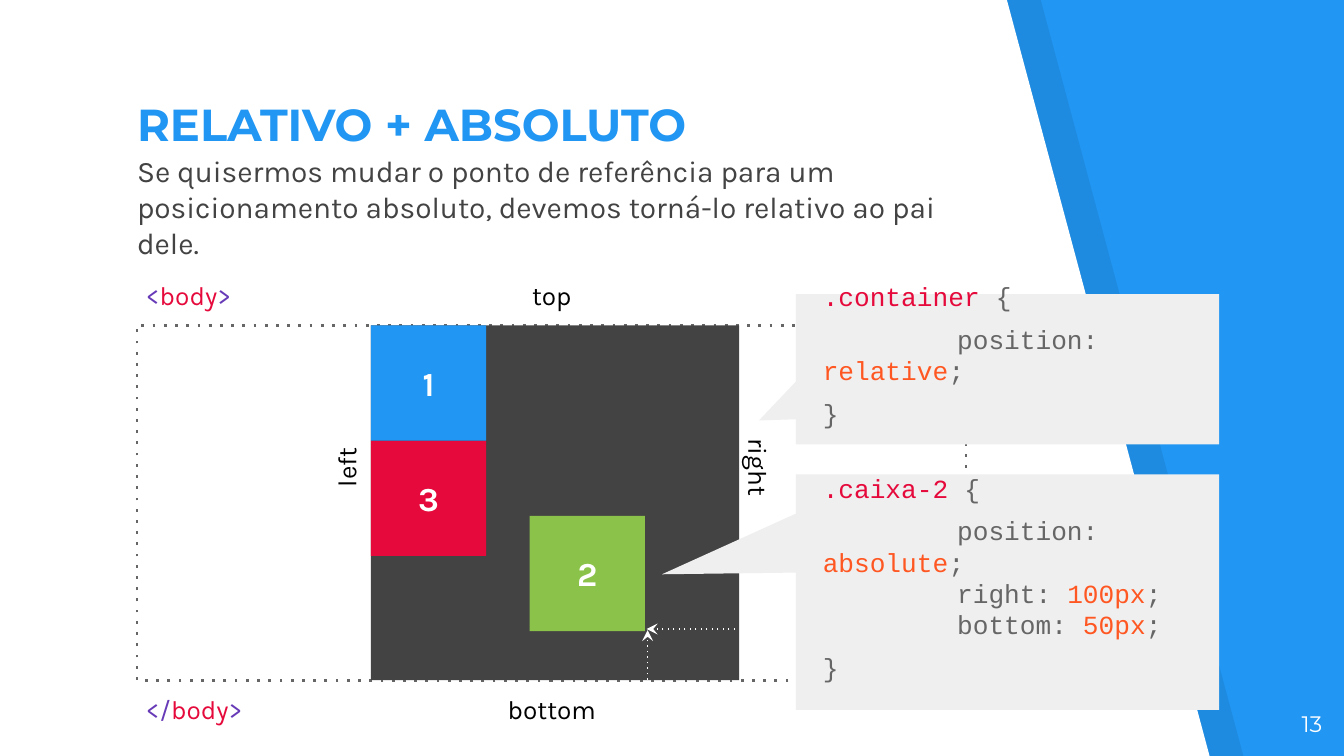
from dataclasses import dataclass

from lxml import etree
from pptx import Presentation
from pptx import util as u
from pptx.dml.color import RGBColor
from pptx.enum import shapes, text
from pptx.oxml.ns import qn

Cm = u.Cm
MID, LEFT, CENTER = text.MSO_ANCHOR.MIDDLE, text.PP_ALIGN.LEFT, text.PP_ALIGN.CENTER
WIDTH, HEIGHT = 25.4, 14.29
COLORS = {
    "blue": "2196F3", "red": "E50A3B", "green": "8BC34A", "purple": "673AB7",
    "orange": "FF5722", "dark": "434343", "gray": "666666", "light": "EFEFEF",
    "white": "FFFFFF", "black": "000000",
}
FORMATS = {
    "title": {"name": "Montserrat", "size": u.Pt(24), "bold": True},
    "body": {"name": "Karla", "size": u.Pt(16), "bold": False},
    "box": {"name": "Karla", "size": u.Pt(18), "bold": True},
    "label": {"name": "Karla", "size": u.Pt(14)},
    "code": {"name": "Courier New", "size": u.Pt(14)},
    "page": {"name": "Montserrat", "size": u.Pt(12)},
}
Run = tuple[str, str]  # text, colour


@dataclass
class Frame:
    x: float
    y: float
    w: float
    h: float

    def lengths(self):
        return Cm(self.x), Cm(self.y), Cm(self.w), Cm(self.h)


@dataclass
class Box:
    number: str
    x: float
    y: float
    color: str


@dataclass
class Label:
    frame: Frame
    runs: list[Run]
    align: text.PP_ALIGN = CENTER
    rotation: int = 0


@dataclass
class Callout:
    frame: Frame
    tip: tuple[float, float]
    lines: list[list[Run]]


def rgb(name: str) -> RGBColor:
    return RGBColor.from_string(COLORS[name])


def fill_shape(sp, color: str) -> None:
    sp.shadow.inherit = False
    sp.fill.solid()
    sp.fill.fore_color.rgb = rgb(color)
    sp.line.fill.background()


def dot_line(sp, color: str, width: float):
    """Dotted outline; returns the a:ln element."""
    sp.line.color.rgb = rgb(color)
    sp.line.width = u.Pt(width)
    ln = sp.element.find(".//" + qn("a:ln"))
    etree.SubElement(ln, qn("a:prstDash"), val="dot")
    return ln


def setup_frame(sp, anchor=text.MSO_ANCHOR.TOP, inset: float = 0.25, bottom: float = 0.25):
    tf = sp.text_frame
    values = {
        "word_wrap": True, "auto_size": text.MSO_AUTO_SIZE.NONE, "vertical_anchor": anchor,
        "margin_left": Cm(inset), "margin_right": Cm(inset),
        "margin_top": Cm(inset), "margin_bottom": Cm(bottom),
    }
    for key, value in values.items():
        setattr(tf, key, value)
    return tf


def write(p, runs: list[Run], fmt: str, align=LEFT, before: float = 0) -> None:
    p.alignment = align
    p.space_before = u.Pt(before)
    for words, color in runs:
        for i, part in enumerate(words.split("\n")):
            if i:
                p.add_line_break()
            r = p.add_run()
            r.text = part
            for key, value in FORMATS[fmt].items():
                setattr(r.font, key, value)
            r.font.color.rgb = rgb(color)


def place(sp, frame: Frame) -> None:
    for key, value in zip(("left", "top", "width", "height"), frame.lengths()):
        setattr(sp, key, value)


def add_panel(s, x: float, color: str):
    builder = s.shapes.build_freeform(Cm(x), 0)
    builder.add_line_segments(
        [(Cm(x), Cm(HEIGHT)), (Cm(x + 22.86), Cm(HEIGHT)), (Cm(x + 19.03), 0)])
    sp = builder.convert_to_shape()
    fill_shape(sp, color)
    return sp


def add_rect(s, frame: Frame, color: str):
    sp = s.shapes.add_shape(shapes.MSO_SHAPE.RECTANGLE, *frame.lengths())
    fill_shape(sp, color)
    return sp


def add_box(s, box: Box) -> None:
    sp = add_rect(s, Frame(box.x, box.y, SIDE, SIDE), box.color)
    write(setup_frame(sp, MID).paragraphs[0], [(box.number, "white")], "box", CENTER)


def add_arrow(s, x1: float, y1: float, x2: float, y2: float) -> None:
    line = s.shapes.add_connector(shapes.MSO_CONNECTOR.STRAIGHT, Cm(x1), Cm(y1), Cm(x2), Cm(y2))
    ln = dot_line(line, "white", 0.75)
    etree.SubElement(ln, qn("a:tailEnd"), type="stealth")
    etree.SubElement(line.element.spPr, qn("a:effectLst"))


def add_label(s, label: Label) -> None:
    sp = s.shapes.add_textbox(*label.frame.lengths())
    sp.rotation = label.rotation
    write(setup_frame(sp, MID).paragraphs[0], label.runs, "label", label.align)


def add_callout(s, callout: Callout) -> None:
    sp = s.shapes.add_shape(
        shapes.MSO_SHAPE.ROUNDED_RECTANGULAR_CALLOUT, *callout.frame.lengths())
    fill_shape(sp, "light")
    for i, value in enumerate((*callout.tip, 0)):
        sp.adjustments[i] = value
    tf = setup_frame(sp, MID, 0.51, 1.07)
    for i, runs in enumerate(callout.lines):
        p = tf.add_paragraph() if i else tf.paragraphs[0]
        tabs = etree.SubElement(p._p.get_or_add_pPr(), qn("a:tabLst"))
        etree.SubElement(tabs, qn("a:tab"), pos=str(Cm(2.54)), algn="l")
        write(p, runs, "code", before=6 if i else 0)


# Diagram geometry
SIDE = 2.18
PAGE = Frame(2.59, 6.15, 15.67, 6.71)
CONTAINER = Frame(7.01, PAGE.y, 6.96, PAGE.h)
BOXES = [
    Box("3", CONTAINER.x, CONTAINER.y + SIDE, "red"),
    Box("1", CONTAINER.x, CONTAINER.y, "blue"),
    Box("2", 10.01, 9.75, "green"),
]
ARROWS = [(13.89, 11.89, 12.22, 11.89), (12.24, 12.85, 12.24, 11.91)]
TOP_Y, BOTTOM_Y = 5.11, 12.93
LABELS = [Label(Frame(9.07, y, 2.72, 0.94), [(name, "black")])
          for name, y in (("top", TOP_Y), ("bottom", BOTTOM_Y))]
LABELS += [Label(Frame(x, 8.36, 2.62, 0.94), [(name, "black")], rotation=angle)
           for name, x, angle in (("left", 5.23, 270), ("right", 13.03, 90))]
LABELS += [Label(Frame(2.51, y, 2.72, 0.94),
                 [(start, "purple"), ("body", "red"), (">", "purple")], LEFT)
           for start, y in (("<", TOP_Y), ("</", BOTTOM_Y))]
CALLOUTS = [
    Callout(Frame(15.04, 5.56, 8, 2.84), (-0.587, 0.341), [
        [(".container ", "red"), ("{", "gray")],
        [("\tposition: ", "gray"), ("relative", "orange"), (";", "gray")],
        [("}", "gray")]]),
    Callout(Frame(15.04, 8.97, 8, 4.45), (-0.816, -0.076), [
        [(".caixa-2 ", "red"), ("{", "gray")],
        [("\tposition: ", "gray"), ("absolute", "orange"), (";\n\tright: ", "gray"),
         ("100px", "orange"), (";\n\tbottom: ", "gray"), ("50px", "orange"), (";", "gray")],
        [("}", "gray")]]),
]


def main() -> None:
    prs = Presentation()
    prs.slide_width, prs.slide_height = Cm(WIDTH), Cm(HEIGHT)
    s = prs.slides.add_slide(prs.slide_layouts[1])
    title, body = s.shapes.title, s.placeholders[1]

    # Background with slanted panels behind the placeholders
    s.background.fill.solid()
    s.background.fill.fore_color.rgb = rgb("blue")
    shade, page = add_panel(s, 0.64, "black"), add_panel(s, 0, "white")
    color = shade.element.find(".//" + qn("a:srgbClr"))
    etree.SubElement(color, qn("a:alpha"), val="7000")
    for panel in (shade, page):
        title.element.addprevious(panel.element)

    # Title and body
    place(title, Frame(2.34, 1.96, 14.4, 1.14))
    tf = setup_frame(title, text.MSO_ANCHOR.BOTTOM)
    write(tf.paragraphs[0], [("RELATIVO + ABSOLUTO", "blue")], "title")
    place(body, Frame(2.34, 2.64, 16.74, 2.84))
    p = setup_frame(body).paragraphs[0]
    pPr = p._p.get_or_add_pPr()
    pPr.set("marL", "0")
    pPr.set("indent", "0")
    etree.SubElement(pPr, qn("a:buNone"))
    write(p, [("Se quisermos mudar o ponto de referência para um posicionamento absoluto, "
               "devemos torná-lo relativo ao pai dele.", "dark")], "body")

    # Page outline, container and boxes
    outline = add_rect(s, PAGE, "white")
    outline.fill.background()
    dot_line(outline, "gray", 1.5)
    add_rect(s, CONTAINER, "dark")
    for box in BOXES:
        add_box(s, box)
    for arrow in ARROWS:
        add_arrow(s, *arrow)

    # Labels and code callouts
    for label in LABELS:
        add_label(s, label)
    for callout in CALLOUTS:
        add_callout(s, callout)

    # Page number
    sp = s.shapes.add_textbox(*Frame(23.72, 13.18, 1.52, 1.09).lengths())
    write(setup_frame(sp).paragraphs[0], [("13", "white")], "page", text.PP_ALIGN.RIGHT)
    prs.save("out.pptx")


if __name__ == "__main__":
    main()
